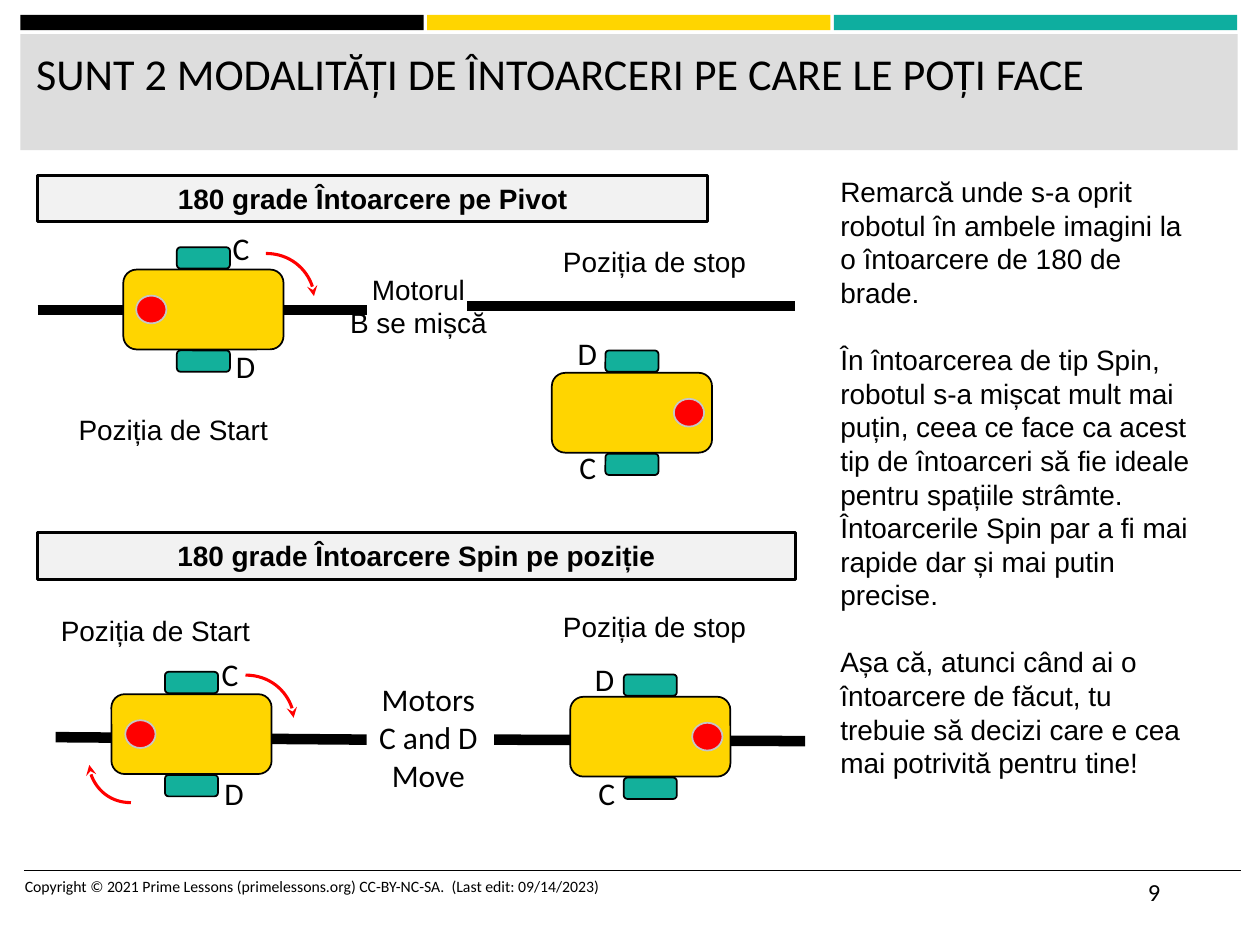
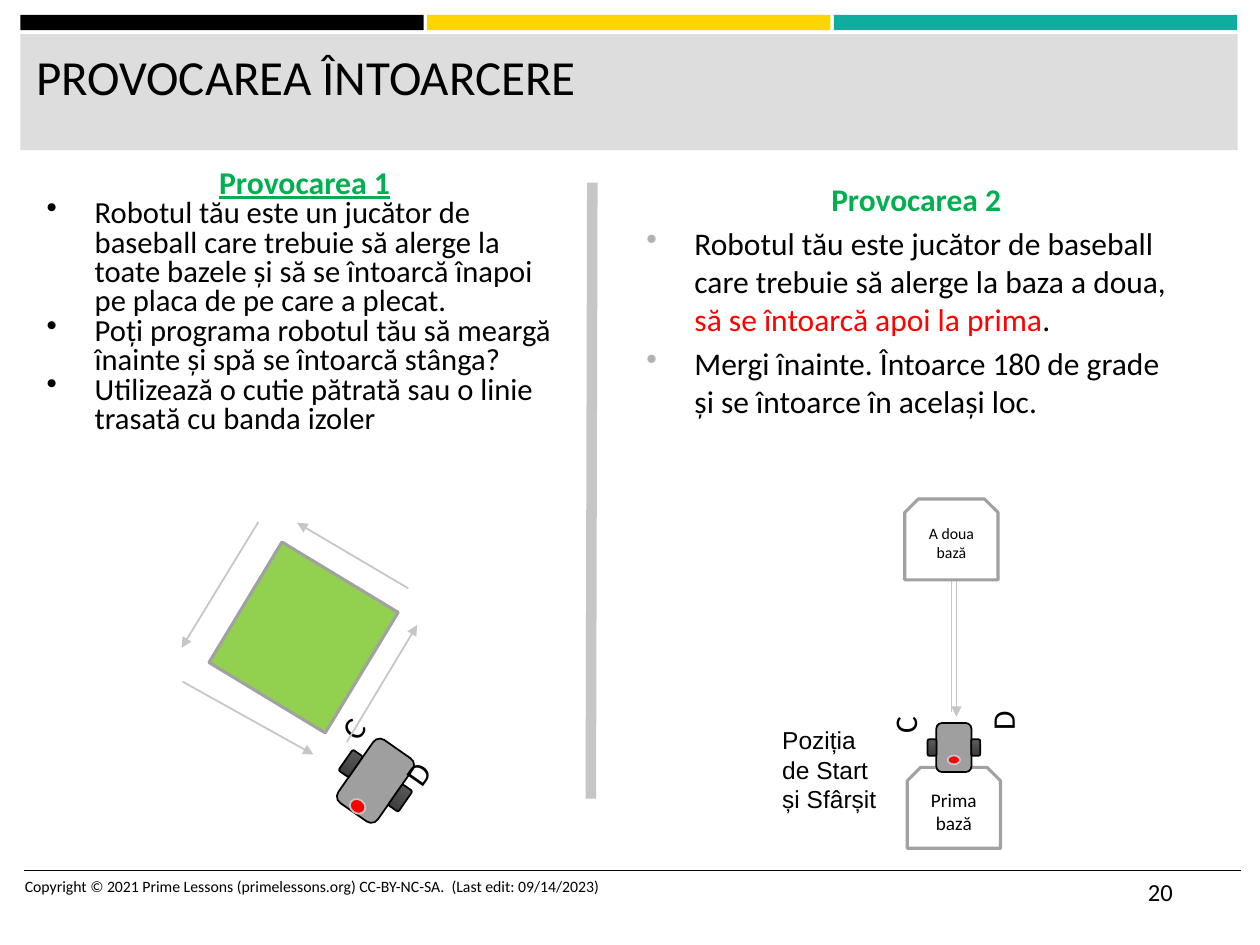
import math

import lxml.etree
import pptx
import pptx.dml.color
import pptx.enum.shapes
import pptx.enum.text
import pptx.oxml.ns
import pptx.util

Cm = pptx.util.Cm
Pt = pptx.util.Pt
Kind = pptx.enum.shapes.MSO_SHAPE
Link = pptx.enum.shapes.MSO_CONNECTOR
Align = pptx.enum.text.PP_ALIGN
Anchor = pptx.enum.text.MSO_ANCHOR
qn = pptx.oxml.ns.qn

BLACK, WHITE, RED = "000000", "FFFFFF", "FF0000"
YELLOW, TEAL, GREEN = "FFD500", "13B09B", "00B050"
GREY, SILVER = "A1A1A1", "C6C6C6"
MID = Align.CENTER
CREDIT = "Copyright © 2021 Prime Lessons (primelessons.org) CC-BY-NC-SA.  (Last edit: 09/14/2023)"

BIG = dict(body=(1.61, 3.23), wheel=(0.43, 1.07), gap=1.04, eye=(0.56, 0.61),
           paint=YELLOW, tyre=TEAL)
SMALL = dict(body=(0.97, 1.55), wheel=(0.25, 0.51), gap=0.61, eye=(0.33, 0.28),
             paint="9F9F9F", tyre=("5D5D5D", "404040"))
TINY = dict(SMALL, body=(0.71, 0.99), wheel=(0.18, 0.33), gap=0.44, eye=(0.25, 0.18))


def hue(code):
    """Turn a hex string into a colour."""
    return pptx.dml.color.RGBColor.from_string(code)


def write(frame, words, size=16, font="Arial", color=BLACK, bold=False, under=False,
          align=None, before=0, lead=None, dot=None):
    """Add a paragraph to a frame; words is a string or a list of (string, colour)."""
    para = frame.paragraphs[0]
    if para.runs:
        para = frame.add_paragraph()
        para.space_before = Pt(before)
    if dot:
        props = para._p.get_or_add_pPr()
        props.set("marL", str(Cm(0.97)))
        props.set("indent", str(-Cm(0.97)))
        tint = lxml.etree.SubElement(props, qn("a:buClr"))
        lxml.etree.SubElement(tint, qn("a:srgbClr"), val=dot)
        lxml.etree.SubElement(props, qn("a:buChar"), char="•")
    if font == "Arial":
        lead = Pt(size * 1.2)
    if lead:
        para.line_spacing = lead
    para.alignment = align
    parts = [(words, color)] if isinstance(words, str) else words
    for part, shade in parts:
        run = para.add_run()
        run.text = part
        run.font.size = Pt(size)
        run.font.name = font
        run.font.bold = bold
        run.font.underline = under
        run.font.color.rgb = hue(shade)


def panel(slide, box, *lines, **form):
    """Add a text box with a paragraph for each line and return its frame."""
    frame = slide.shapes.add_textbox(*map(Cm, box)).text_frame
    frame.word_wrap = True
    for words in lines:
        write(frame, words, **form)
    return frame


def shape(slide, kind, box, fill, edge=None, width=1, turn=0):
    """Add a preset shape; a pair of fills makes a gradient."""
    item = slide.shapes.add_shape(kind, *map(Cm, box))
    item.shadow.inherit = False
    item.rotation = turn
    if isinstance(fill, tuple):
        item.fill.gradient()
        item.fill.gradient_angle = 270
        for stop, code, place in zip(item.fill.gradient_stops, fill, (0, 0.84)):
            stop.color.rgb = hue(code)
            stop.position = place
    else:
        item.fill.solid()
        item.fill.fore_color.rgb = hue(fill)
    if edge:
        item.line.color.rgb = hue(edge)
        item.line.width = Pt(width)
    else:
        item.line.fill.background()
    return item


def line(slide, ends, color=BLACK, width=1, head=None, kind=Link.STRAIGHT):
    """Add a connector from start to end, with an arrowhead if asked."""
    item = slide.shapes.add_connector(kind, *map(Cm, ends))
    item.line.color.rgb = hue(color)
    item.line.width = Pt(width)
    if head:
        edge = item.line._get_or_add_ln()
        lxml.etree.SubElement(edge, qn("a:tailEnd"), type=head)
    lxml.etree.SubElement(item._element.spPr, qn("a:effectLst"))
    return item


def arc(slide, x, y, wide, high, turn=0):
    """Add a red quarter-turn arrow."""
    item = line(slide, (x, y, x + wide, y + high), RED, 1.75, "stealth", Link.CURVE)
    props = item._element.spPr
    props.find(qn("a:prstGeom")).set("prst", "curvedConnector2")
    props.find(qn("a:xfrm")).set("rot", str(turn * 60000))


def robot(slide, x, y, turn, look, back):
    """Add a robot centred at x, y, with its sensor set back from the centre."""
    cos, sin = math.cos(math.radians(turn)), math.sin(math.radians(turn))

    def part(kind, size, side, down, fill, edge=BLACK):
        """Add a part at an offset that turns with the robot."""
        wide, high = size
        left = x + side * cos - down * sin - wide / 2
        top = y + side * sin + down * cos - high / 2
        shape(slide, kind, (left, top, wide, high), fill, edge, turn=turn)

    part(Kind.ROUNDED_RECTANGLE, look["body"], 0, 0, look["paint"])
    for side in (look["gap"], -look["gap"]):
        part(Kind.ROUNDED_RECTANGLE, look["wheel"], side, 0, look["tyre"])
    part(Kind.OVAL, look["eye"], 0, back, RED, SILVER)


def motor(slide, name, x, y, turn=0):
    """Add a motor letter centred at x, y."""
    frame = panel(slide, (x - 0.51, y - 0.51, 1.02, 1.02), name,
                  size=18, font="Calibri", align=MID)
    slide.shapes[-1].rotation = turn
    return frame


def header(slide, y, wide, words):
    """Add a framed heading for one kind of turn."""
    item = shape(slide, Kind.RECTANGLE, (0.76, y, wide, 0.94), "F2F2F2", BLACK, 1.75)
    item.text_frame.vertical_anchor = Anchor.TOP
    write(item.text_frame, words, bold=True, align=MID)


def base(slide, x, y, words, size):
    """Add a baseball base."""
    item = shape(slide, Kind.SNIP_2_SAME_RECTANGLE, (x, y, 1.88, 1.63), WHITE, GREY, 1.75)
    item.text_frame.word_wrap = True
    item.text_frame.vertical_anchor = Anchor.MIDDLE
    write(item.text_frame, words, size=size, font="Calibri", align=MID)


def start(deck, title, size, page):
    """Add a slide with bands, title and footer."""
    slide = deck.slides.add_slide(deck.slide_layouts[6])
    for i, color in enumerate((BLACK, YELLOW, "0EAE9F")):
        shape(slide, Kind.RECTANGLE, (0.41 + 8.2 * i, 0.3, 8.13, 0.31), color)
    shape(slide, Kind.RECTANGLE, (0.41, 0.69, 24.54, 2.34), "DDDDDD")
    line(slide, (0.48, 17.55, 25.02, 17.55))
    panel(slide, (0.48, 0.81, 24.31, 2.08), title, size=size, font="Calibri")
    panel(slide, (0.25, 17.55, 13.54, 1.02), CREDIT, size=9, font="Calibri")
    panel(slide, (22.89, 17.55, 2.13, 1.02), page, size=14, font="Calibri")
    return slide


def turns(deck):
    """Build the slide that compares pivot and spin turns."""
    slide = start(deck, "SUNT 2 MODALITĂȚI DE ÎNTOARCERI PE CARE LE POȚI FACE", 25.2, "9")
    for ends in ((9.96, 14.91, 16.23, 14.94), (1.12, 14.86, 7.39, 14.91),
                 (0.76, 6.25, 7.39, 6.25), (9.42, 6.17, 16.03, 6.17)):
        line(slide, ends, width=6)
    header(slide, 3.53, 13.51, "180 grade Întoarcere pe Pivot")
    header(slide, 10.74, 15.27, "180 grade Întoarcere Spin pe poziție")
    panel(slide, (16.69, 3.4, 7.8, 12.57),
          "Remarcă unde s-a oprit robotul în ambele imagini la o întoarcere de 180 de brade.",
          "În întoarcerea de tip Spin, robotul s-a mișcat mult mai puțin, ceea ce face ca "
          "acest tip de întoarceri să fie ideale pentru spațiile strâmte. Întoarcerile Spin "
          "par a fi mai rapide dar și mai putin precise.",
          "Așa că, atunci când ai o întoarcere de făcut, tu trebuie să decizi care e cea mai "
          "potrivită pentru tine!", before=19.2)
    for words, x, y in (("Poziția de Start", 1.12, 8.2), ("Poziția de stop", 10.82, 4.8),
                        ("Poziția de Start", 0.76, 12.24), ("Poziția de stop", 10.82, 12.17)):
        panel(slide, (x, y, 4.75, 0.94), words, align=MID)
    panel(slide, (6.58, 5.36, 3.71, 1.63), "Motorul", "B se mișcă", align=MID)
    panel(slide, (6.78, 13.59, 3.71, 2.57), "Motors", "C and D Move",
          size=18, font="Calibri", align=MID)
    for x, y, turn, back in ((4.1, 6.24, 90, 1.05), (12.74, 8.32, 270, 1.15),
                             (3.86, 14.8, 90, 1.03), (13.11, 14.85, 270, 1.15)):
        robot(slide, x, y, turn, BIG, back)
    for name, x, y in (("C", 4.86, 5), ("D", 4.95, 7.39), ("C", 11.85, 9.42),
                       ("D", 11.84, 7.11), ("C", 4.64, 13.59), ("D", 4.72, 15.98),
                       ("C", 12.23, 15.98), ("D", 12.19, 13.69)):
        motor(slide, name, x, y)
    arc(slide, 5.36, 5.11, 0.97, 0.86)
    arc(slide, 4.95, 13.61, 0.97, 0.86)
    arc(slide, 1.8, 15.42, 0.84, 0.76, 180)


def tasks(deck):
    """Build the slide with the two baseball challenges."""
    slide = start(deck, "PROVOCAREA ÎNTOARCERE", 28, "20")
    left = panel(slide, (0.69, 3.3, 10.9, 6.96), "Provocarea 1", size=18.1, font="Calibri",
                 color=GREEN, bold=True, under=True, align=MID, lead=0.8)
    for words in (
            "Robotul tău este un jucător de baseball care trebuie să alerge la toate bazele "
            "și să se întoarcă înapoi pe placa de pe care a plecat.",
            "Poți programa robotul tău să meargă înainte și spă se întoarcă stânga?",
            "Utilizează o cutie pătrată sau o linie trasată cu banda izoler"):
        write(left, words, size=17.5, font="Calibri", lead=0.8, dot=BLACK)
    right = panel(slide, (12.78, 3.51, 11.38, 12.14), "Provocarea 2", size=18,
                  font="Calibri", color=GREEN, bold=True, align=MID)
    for words in (
            [("Robotul tău este jucător de baseball care trebuie să alerge la baza a doua, ",
              BLACK), ("să se întoarcă apoi la prima", RED), (".", BLACK)],
            "Mergi înainte. Întoarce 180 de grade și se întoarce în același loc."):
        write(right, words, size=18, font="Calibri", before=3.6, dot="B2B2B2")
    line(slide, (11.91, 16.1, 11.94, 3.68), SILVER, 6)

    shape(slide, Kind.RECTANGLE, (4.7, 11.48, 2.84, 2.74), "92D050", GREY, 1.75, 301.2)
    robot(slide, 7.57, 15.74, 34.9, SMALL, 0.63)
    motor(slide, "C", 7.11, 14.68, 304.9)
    motor(slide, "D", 8.41, 15.6, 304.9)
    for ends in ((5.21, 10.52, 3.66, 13.06), (8.23, 11.86, 5.99, 10.54),
                 (6.99, 14.96, 8.41, 12.6), (3.68, 13.74, 6.32, 15.21),
                 (19.18, 14.35, 19.18, 11.4), (19.28, 11.68, 19.28, 14.45)):
        line(slide, ends, SILVER, head="triangle")

    panel(slide, (15.52, 14.5, 2.64, 2.06), "Poziția de Start și Sfârșit", size=14)
    base(slide, 18.29, 15.47, "Prima bază", 11)
    robot(slide, 19.23, 15.07, 0, TINY, 0.25)
    motor(slide, "C", 18.24, 14.61, 270)
    motor(slide, "D", 20.21, 14.53, 270)
    base(slide, 18.24, 10.06, "A doua bază", 9)


def main():
    """Build and save the deck."""
    deck = pptx.Presentation()
    deck.slide_width, deck.slide_height = Cm(25.4), Cm(19.05)
    turns(deck)
    tasks(deck)
    deck.save("out.pptx")


if __name__ == "__main__":
    main()
